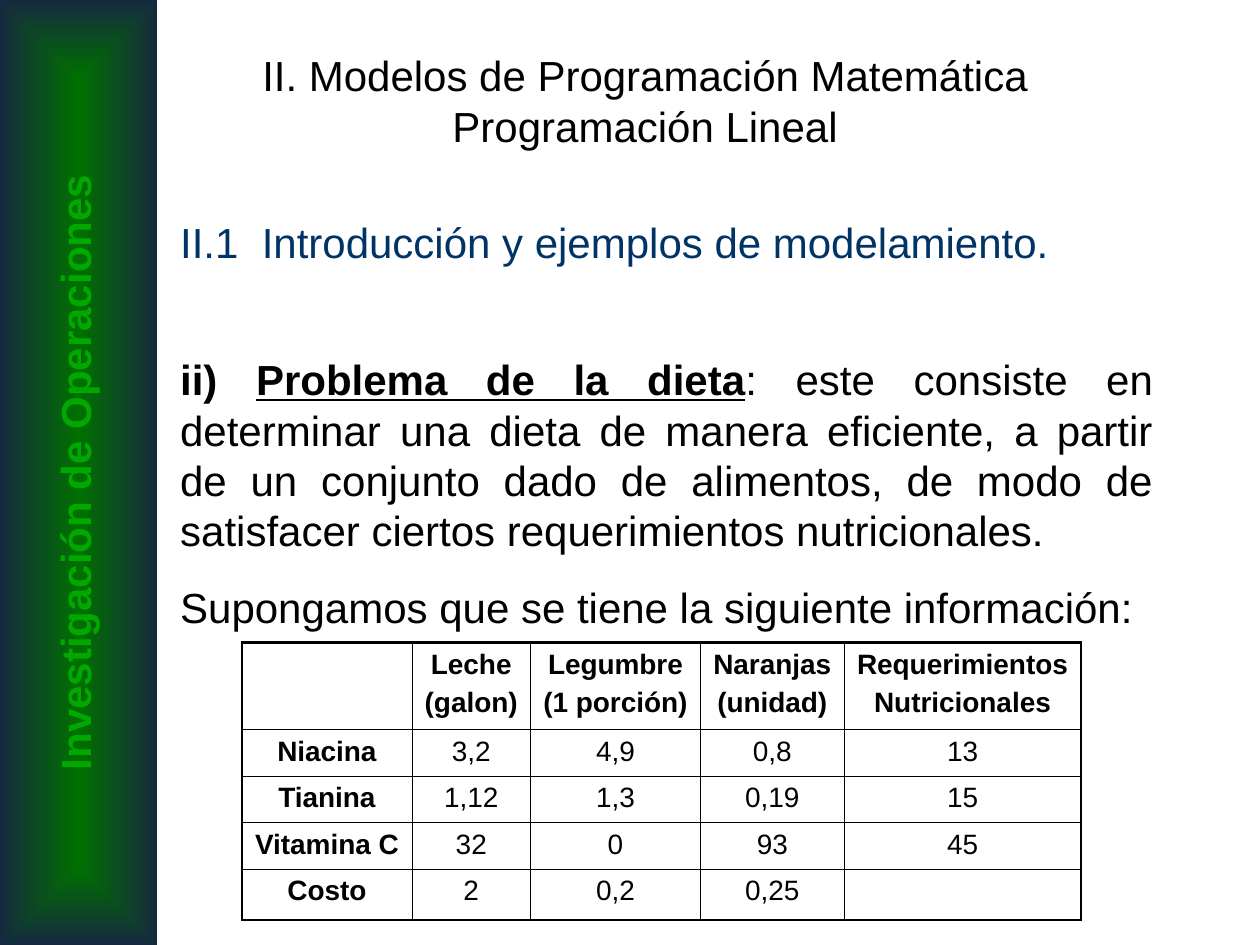
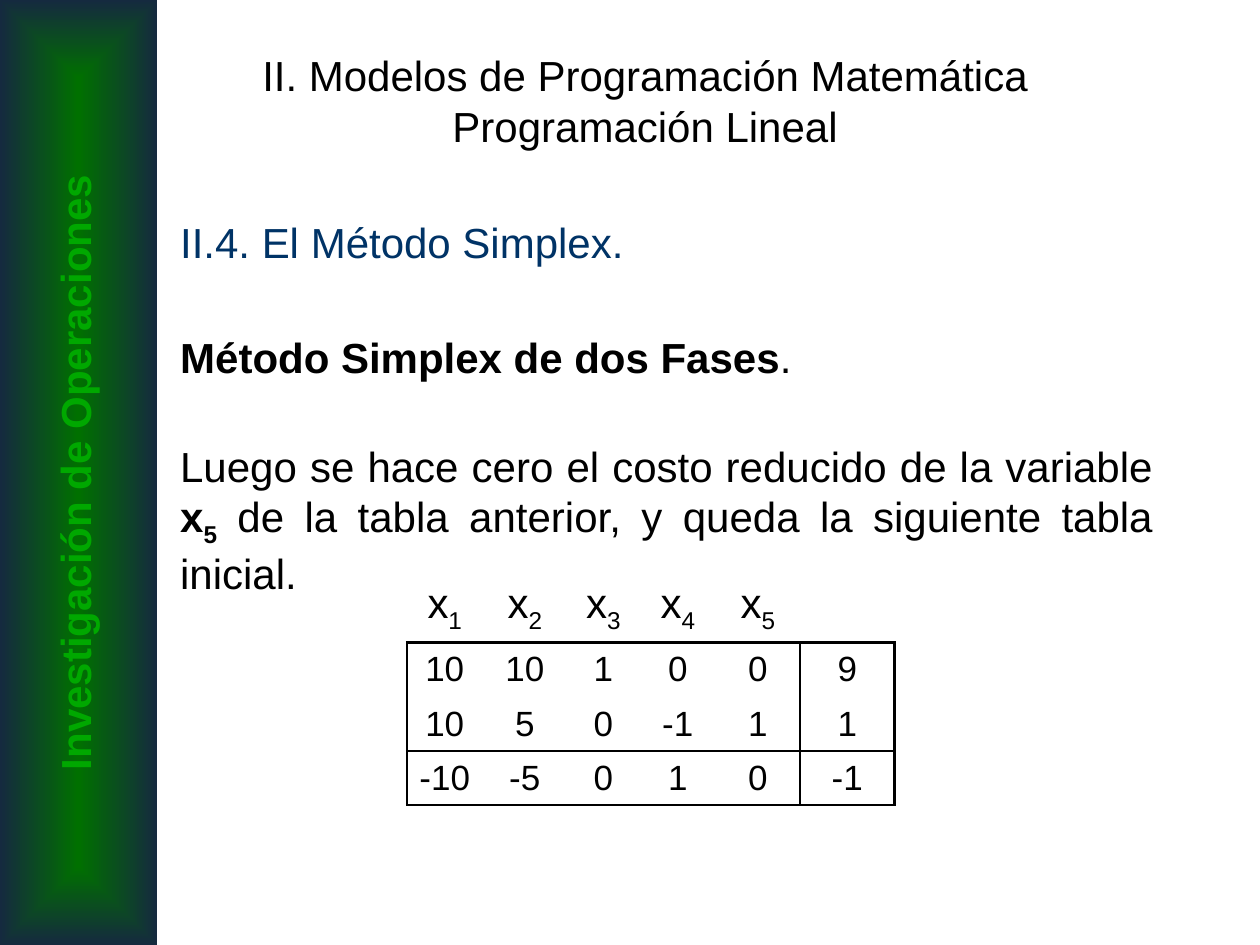
import pptx
import pptx.util
import pptx.oxml
import pptx.oxml.ns
import pptx.dml.color
import pptx.enum.shapes
import pptx.enum.text
import lxml.etree

Inches = pptx.util.Inches
Pt = pptx.util.Pt
ALIGN = pptx.enum.text.PP_ALIGN
MIDDLE = pptx.enum.text.MSO_ANCHOR.MIDDLE
TOP = pptx.enum.text.MSO_ANCHOR.TOP
COLORS = {"text": "000000", "heading": "003366", "band": "007000",
          "band_edge": "152A3F", "band_text": "00A800"}
THIN, THICK = 0.45, 1.47


def fill_paragraph(para, spans, size, color="text", align=ALIGN.LEFT, before=0, spacing=1.0):
    para.alignment = align
    para.space_before = Pt(before)
    para.line_spacing = spacing
    para.font.name = "Arial"
    para.font.size = Pt(size)
    para.font.color.rgb = pptx.dml.color.RGBColor.from_string(COLORS[color])
    styles = {style for text, style in spans}
    if len(styles) == 1:
        para.font.bold = "b" in spans[0][1]
    for text, style in spans:
        span = para.add_run()
        span.text = text
        if len(styles) > 1:
            span.font.bold = "b" in style
        if "u" in style:
            span.font.underline = True
        if "s" in style:
            span._r.get_or_add_rPr().set("baseline", "-25000")


def add_grid(page, left, top, widths, heights, outline):
    frame = page.shapes.add_table(len(heights), len(widths), Inches(left), Inches(top),
                                  Inches(sum(widths)), Inches(sum(heights)))
    grid = frame.table
    grid.first_row = False
    grid.horz_banding = False
    for column, width in zip(grid.columns, widths):
        column.width = Inches(width)
    for row, height in zip(grid.rows, heights):
        row.height = Inches(height)
    for r in range(len(heights)):
        for c in range(len(widths)):
            cell = grid.cell(r, c)
            properties = cell._tc.get_or_add_tcPr()
            for side, width in outline(r, c).items():
                line = lxml.etree.SubElement(properties, pptx.oxml.ns.qn("a:ln" + side))
                if width:
                    line.set("w", str(Pt(width)))
                    paint = lxml.etree.SubElement(line, pptx.oxml.ns.qn("a:solidFill"))
                    lxml.etree.SubElement(paint, pptx.oxml.ns.qn("a:srgbClr"), val=COLORS["text"])
                else:
                    lxml.etree.SubElement(line, pptx.oxml.ns.qn("a:noFill"))
            cell.fill.background()
    return grid


deck = pptx.Presentation()
deck.slide_width = Inches(10)
deck.slide_height = Inches(7.5)
layout = deck.slide_layouts[1]

DIET_BODY = [
    ([("II.1  Introducción y ejemplos de modelamiento.", "")], "heading", ALIGN.LEFT, 0, 1.0),
    ([("ii) ", "b"), ("Problema de la dieta", "bu"),
      (": este consiste en determinar una dieta de manera eficiente, a partir de un conjunto "
       "dado de alimentos, de modo de satisfacer ciertos requerimientos nutricionales.", "")],
     "text", ALIGN.JUSTIFY, 49.5, 1.0),
    ([("Supongamos que se tiene la siguiente información:", "")], "text", ALIGN.JUSTIFY, 15, 1.0),
]
SIMPLEX_BODY = [
    ([("II.4. El Método Simplex.", "")], "heading", ALIGN.JUSTIFY, 0, 1.0),
    ([("Método Simplex de dos Fases", "b"), (".", "")], "text", ALIGN.LEFT, 40, 0.9),
    ([("Luego se hace cero el costo reducido de la variable ", ""), ("x", "b"), ("5", "bs"),
      (" de la tabla anterior, y queda la siguiente tabla inicial.", "")],
     "text", ALIGN.JUSTIFY, 33, 1.0),
]

pages = []
for body_text in (DIET_BODY, SIMPLEX_BODY):
    page = deck.slides.add_slide(layout)
    pages.append(page)
    title, body = page.shapes.title, page.placeholders[1]
    for box, place, anchor in ((title, (1.33, 0.17, 7.58, 1.25), MIDDLE),
                               (body, (1.33, 1.67, 7.92, 5.5), TOP)):
        box.left, box.top, box.width, box.height = map(Inches, place)
        box.text_frame.auto_size = pptx.enum.text.MSO_AUTO_SIZE.NONE
        box.text_frame.vertical_anchor = anchor
    title.text_frame.text = "II. Modelos de Programación Matemática\vProgramación Lineal"
    fill_paragraph(title.text_frame.paragraphs[0], [], 24, align=ALIGN.CENTER)
    for index, (spans, color, align, before, spacing) in enumerate(body_text):
        para = body.text_frame.add_paragraph() if index else body.text_frame.paragraphs[0]
        properties = para._p.get_or_add_pPr()
        properties.set("marL", "0")
        properties.set("indent", "0")
        lxml.etree.SubElement(properties, pptx.oxml.ns.qn("a:buNone"))
        fill_paragraph(para, spans, 24, color, align, before, spacing)

diet, simplex = pages

band = diet.shapes.add_shape(pptx.enum.shapes.MSO_SHAPE.RECTANGLE, 0, 0, Inches(1.25), Inches(7.5))
band.shadow.inherit = False
band.line.fill.background()
band.fill.gradient()
gradient = band.element.spPr.find(pptx.oxml.ns.qn("a:gradFill"))
gradient.getparent().replace(gradient, pptx.oxml.parse_xml(
    f'<a:gradFill {pptx.oxml.ns.nsdecls("a")} rotWithShape="1"><a:gsLst>'
    f'<a:gs pos="0"><a:srgbClr val="{COLORS["band"]}"/></a:gs>'
    f'<a:gs pos="100000"><a:srgbClr val="{COLORS["band_edge"]}"/></a:gs></a:gsLst>'
    '<a:path path="rect"><a:fillToRect l="50000" t="50000" r="50000" b="50000"/></a:path>'
    '</a:gradFill>'))
course = diet.shapes.add_textbox(Inches(-3.16), Inches(3.5), Inches(7.5), Inches(0.5))
course.rotation = 270
course.text_frame.word_wrap = True
fill_paragraph(course.text_frame.paragraphs[0], [("Investigación de Operaciones", "b")],
               24, "band_text", ALIGN.CENTER)
for position, shape in enumerate((band, course), 2):
    layout.shapes.element.insert(position, shape.element)

NUTRIENTS = [
    ["", "Leche|(galon)", "Legumbre|(1 porción)", "Naranjas|(unidad)", "Requerimientos|Nutricionales"],
    ["Niacina", "3,2", "4,9", "0,8", "13"],
    ["Tianina", "1,12", "1,3", "0,19", "15"],
    ["Vitamina C", "32", "0", "93", "45"],
    ["Costo", "2", "0,2", "0,25", ""],
]
grid = add_grid(diet, 1.92, 5.1, [1.35, 0.94, 1.35, 1.14, 1.88],
                [0.69, 0.37, 0.37, 0.37, 0.4],
                lambda r, c: {"L": THIN if c else THICK, "R": THICK if c == 4 else THIN,
                              "T": THIN if r else THICK, "B": THICK if r == 4 else THIN})
for r, row in enumerate(NUTRIENTS):
    for c, text in enumerate(row):
        frame = grid.cell(r, c).text_frame
        style = "b" if r == 0 or c == 0 else ""
        for index, line in enumerate(text.split("|") if text else []):
            para = frame.add_paragraph() if index else frame.paragraphs[0]
            fill_paragraph(para, [(line, style)], 16, align=ALIGN.CENTER, before=4 if index else 0)

TABLEAU = [
    ["x1", "x2", "x3", "x4", "x5", ""],
    ["10", "10", "1", "0", "0", "9"],
    ["10", "5", "0", "-1", "1", "1"],
    ["-10", "-5", "0", "1", "0", "-1"],
]
grid = add_grid(simplex, 3.23, 4.54, [0.6, 0.67, 0.58, 0.6, 0.67, 0.75],
                [0.56, 0.43, 0.43, 0.43],
                lambda r, c: {"L": THICK * (r > 0 and c in (0, 5)),
                              "R": THICK * (r > 0 and c in (4, 5)),
                              "T": THICK * (r in (1, 3)), "B": THICK * (r in (0, 2, 3))})
for r, row in enumerate(TABLEAU):
    for c, text in enumerate(row):
        cell = grid.cell(r, c)
        cell.vertical_anchor = MIDDLE
        cell.margin_left = cell.margin_right = Inches(0.05)
        if text:
            spans = [(text, "")] if r else [(text[0], ""), (text[1], "s")]
            fill_paragraph(cell.text_frame.paragraphs[0], spans, 20 if r else 24, align=ALIGN.CENTER)

deck.save("out.pptx")
